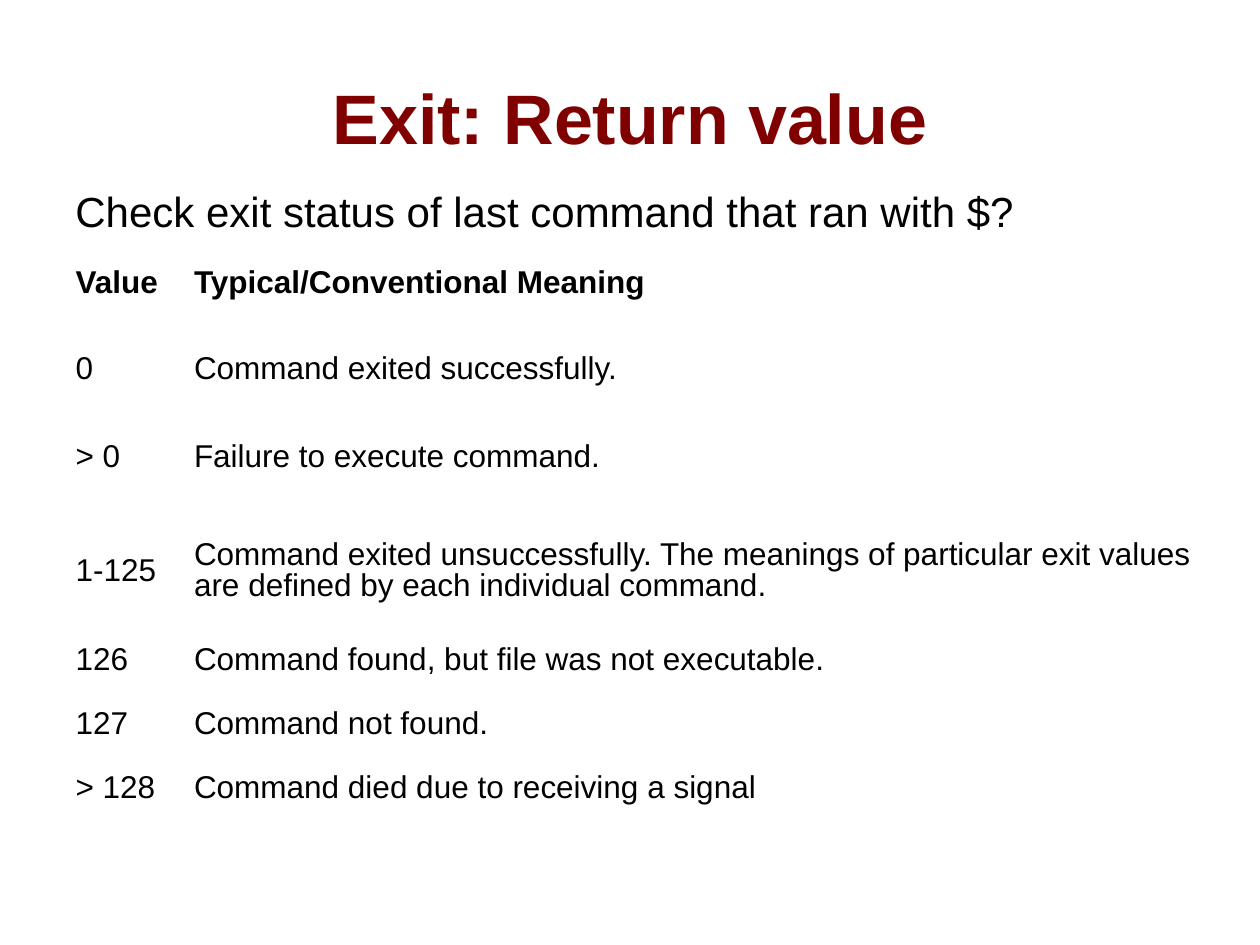
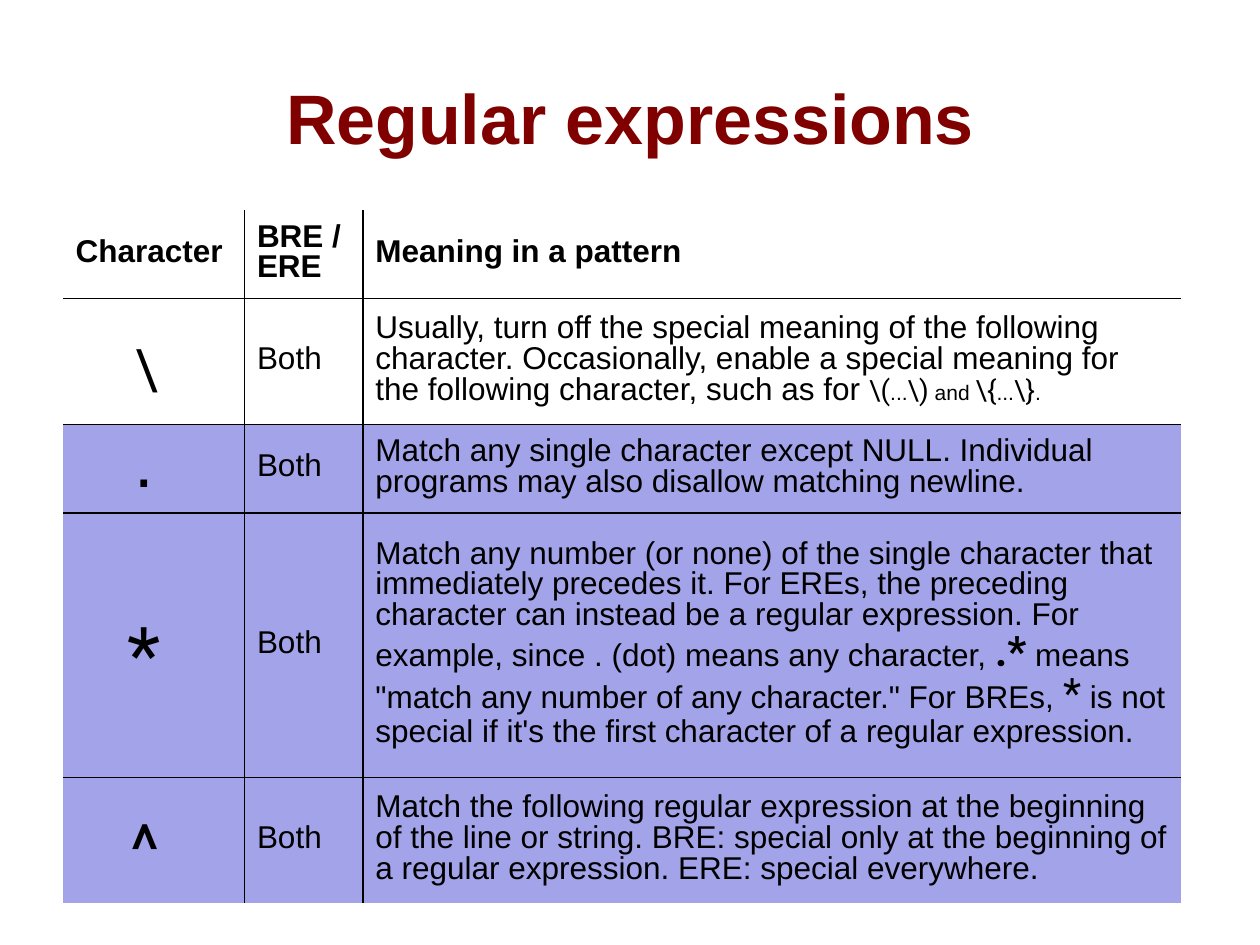
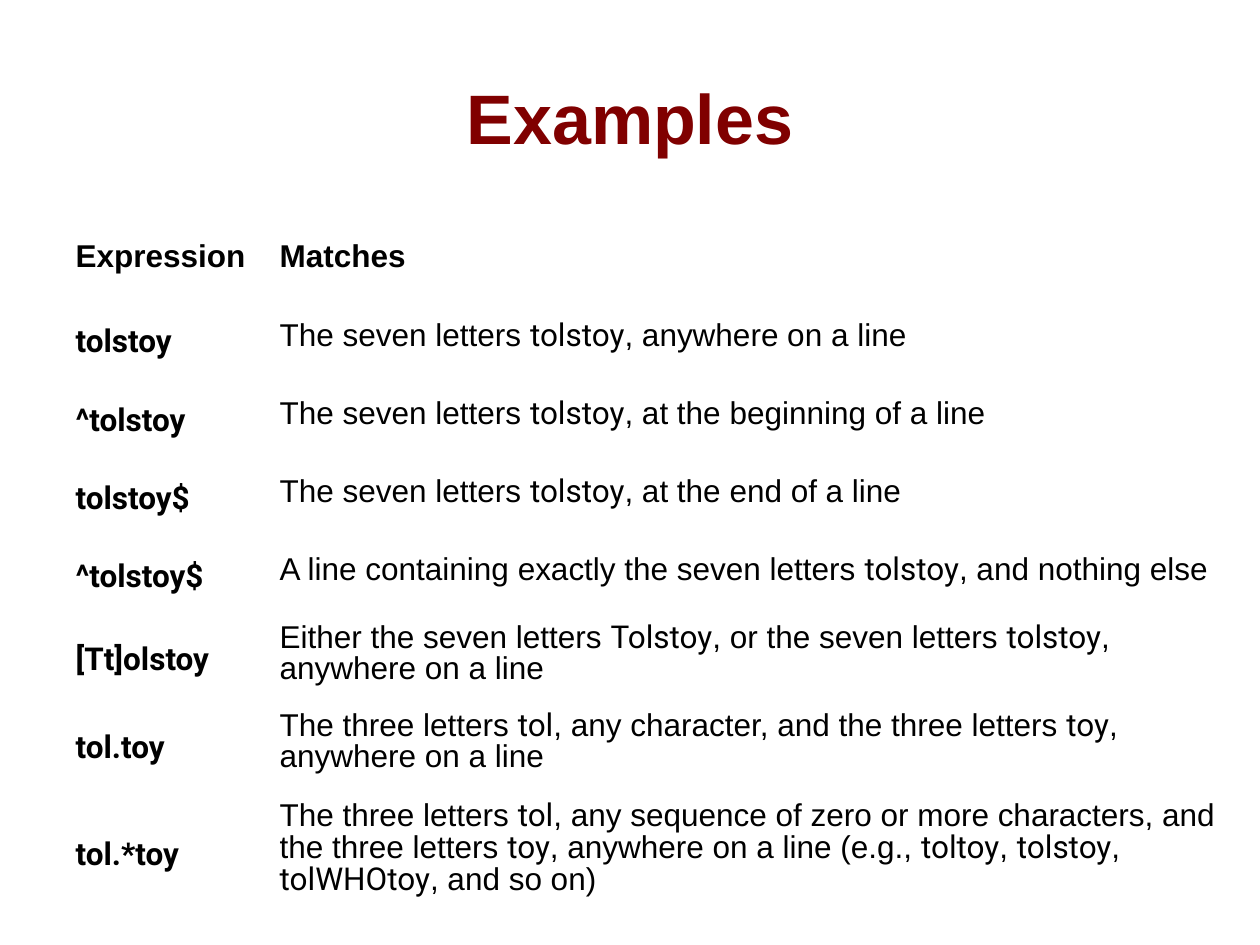
"""Build three shell-scripting slides: exit values, regular expressions and examples."""
from dataclasses import dataclass
from typing import Optional

import lxml.etree
import pptx
import pptx.dml.color
import pptx.enum.text
import pptx.oxml.ns
import pptx.presentation
import pptx.slide
import pptx.table
import pptx.text.text
import pptx.util
from pptx.util import Inches

BLACK, MAROON, LAVENDER = "000000", "800000", "A3A3E9"
BODY_FONT, CODE_FONT = "Arial", "Roboto"
BODY_SIZE = 18
LEFT = 0.5
PLAIN_TABLE_STYLE = "{2D5ABB26-0587-4C30-8999-92F81FD0307C}"
ALIGN = pptx.enum.text.PP_ALIGN
ANCHOR = pptx.enum.text.MSO_ANCHOR


@dataclass(frozen=True)
class Span:
    """A stretch of text in one style."""
    text: str
    size: float = BODY_SIZE
    font: str = BODY_FONT
    bold: bool = False


@dataclass(frozen=True)
class Entry:
    """The content of one table cell, as lines of spans."""
    lines: list[list[Span]]
    align: ALIGN = ALIGN.LEFT
    spacing: float = 0.87
    top: float = 0.03


@dataclass(frozen=True)
class Grid:
    """A table's place, track sizes and decoration."""
    top: float
    columns: list[float]
    rows: list[float]
    ruled: bool = False
    first_shaded_row: Optional[int] = None


def rgb(value: str) -> pptx.dml.color.RGBColor:
    """Turn a hex string into a colour."""
    return pptx.dml.color.RGBColor.from_string(value)


def marked(text: str, size: float = BODY_SIZE, code_size: float = BODY_SIZE,
           code_bold: bool = False) -> list[Span]:
    """Split text into body spans and backquoted code spans."""
    return [Span(part, code_size, CODE_FONT, code_bold) if index % 2 else Span(part, size)
            for index, part in enumerate(text.split("`")) if part]


def prose(*lines: str) -> Entry:
    """Make a cell of body text with code words in backquotes."""
    return Entry([marked(line) for line in lines])


def heading(*lines: str) -> Entry:
    """Make a bold header cell."""
    return Entry([[Span(line, bold=True)] for line in lines])


def expression(text: str) -> Entry:
    """Make a cell with a bold code expression."""
    return Entry([[Span(text, font=CODE_FONT, bold=True)]], spacing=1.25, top=0.05)


def symbol(text: str, size: float) -> Entry:
    """Make a cell with a large centred code character."""
    return Entry([[Span(text, size, CODE_FONT)]], ALIGN.CENTER, 1.25, 0.05)


def style(font: pptx.text.text.Font, span: Span, color: str = BLACK) -> None:
    """Apply a span's look to a font."""
    font.name, font.size, font.bold = span.font, pptx.util.Pt(span.size), span.bold
    font.color.rgb = rgb(color)


def write(paragraph: pptx.text.text._Paragraph, spans: list[Span], color: str = BLACK) -> None:
    """Fill a paragraph, styling it as a whole when it has one span."""
    for span in spans:
        run = paragraph.add_run()
        run.text = span.text
        style(paragraph.font if len(spans) == 1 else run.font, span, color)


def rule_cell(cell: pptx.table._Cell, sides: list[str]) -> None:
    """Draw thin black borders on the given sides of a cell."""
    properties = cell._tc.get_or_add_tcPr()
    for side in sides:
        border = lxml.etree.SubElement(properties, pptx.oxml.ns.qn(f"a:ln{side}"), w="12573")
        paint = lxml.etree.SubElement(border, pptx.oxml.ns.qn("a:solidFill"))
        lxml.etree.SubElement(paint, pptx.oxml.ns.qn("a:srgbClr"), val=BLACK)


def fill_cell(cell: pptx.table._Cell, entry: Entry, shade: Optional[str]) -> None:
    """Set a cell's fill, margins and text."""
    if shade:
        cell.fill.solid()
        cell.fill.fore_color.rgb = rgb(shade)
    else:
        cell.fill.background()
    cell.vertical_anchor = ANCHOR.MIDDLE
    cell.margin_left = cell.margin_right = Inches(0.1)
    cell.margin_top, cell.margin_bottom = Inches(entry.top), Inches(0.05)
    for index, spans in enumerate(entry.lines):
        frame = cell.text_frame
        paragraph = frame.add_paragraph() if index else frame.paragraphs[0]
        paragraph.alignment, paragraph.line_spacing = entry.align, entry.spacing
        write(paragraph, spans)


def add_grid(slide: pptx.slide.Slide, grid: Grid, content: list[list[Entry]]) -> None:
    """Draw a table with the given tracks and content."""
    table = slide.shapes.add_table(
        len(grid.rows), len(grid.columns), Inches(LEFT), Inches(grid.top),
        Inches(sum(grid.columns)), Inches(sum(grid.rows))).table
    table.first_row = table.horz_banding = False
    table._tbl.tblPr.find(pptx.oxml.ns.qn("a:tableStyleId")).text = PLAIN_TABLE_STYLE
    for column, width in zip(table.columns, grid.columns):
        column.width = Inches(width)
    for row, height in zip(table.rows, grid.rows):
        row.height = Inches(height)
    for r, entries in enumerate(content):
        shaded = grid.first_shaded_row is not None and r >= grid.first_shaded_row
        for c, entry in enumerate(entries):
            cell = table.cell(r, c)
            if grid.ruled:
                inner = {"L": c > 0, "R": c < len(grid.columns) - 1,
                         "T": r > 0, "B": r < len(grid.rows) - 1}
                rule_cell(cell, [side for side, drawn in inner.items() if drawn])
            fill_cell(cell, entry, LAVENDER if shaded else None)


def add_titled_slide(deck: pptx.presentation.Presentation, title: str) -> pptx.slide.Slide:
    """Add a slide with the shared maroon title."""
    slide = deck.slides.add_slide(deck.slide_layouts[5])
    banner = slide.shapes.title
    banner.left, banner.top = Inches(LEFT), Inches(0.3)
    banner.width, banner.height = Inches(9), Inches(1.25)
    banner.text_frame.vertical_anchor = ANCHOR.MIDDLE
    paragraph = banner.text_frame.paragraphs[0]
    paragraph.alignment = ALIGN.CENTER
    write(paragraph, [Span(title, 40, bold=True)], MAROON)
    return slide


def add_exit_values(deck: pptx.presentation.Presentation) -> None:
    """Add the slide on exit values."""
    slide = add_titled_slide(deck, "Exit: Return value")
    meanings = [
        ("0", "Command exited successfully."),
        ("> 0", "Failure to execute command."),
        ("1-125", "Command exited unsuccessfully. The meanings of particular exit values "
                  "are defined by each individual command."),
        ("126", "Command found, but file was not executable."),
        ("127", "Command not found."),
        ("> 128", "Command died due to receiving a signal"),
    ]
    add_grid(slide, Grid(1.84, [0.94, 8.23], [0.85, 0.51, 0.9, 0.9] + [0.51] * 3),
             [[heading("Value"), heading("Typical/Conventional Meaning")]]
             + [[prose(value), prose(meaning)] for value, meaning in meanings])
    hint = slide.shapes.add_textbox(Inches(LEFT), Inches(1.42), Inches(7.67), Inches(0.51))
    hint.text_frame.word_wrap = True
    write(hint.text_frame.paragraphs[0],
          [Span("Check exit status of last command that ran with $?", 24)])


def add_regular_expressions(deck: pptx.presentation.Presentation) -> None:
    """Add the slide on special pattern characters."""
    slide = add_titled_slide(deck, "Regular expressions")
    escape = Entry([
        marked("Usually, turn off the special meaning of the following"),
        marked("character. Occasionally, enable a special meaning for"),
        marked("the following character, such as for ")
        + marked(r"`\(`...`\)` and `\{`...`\}`.", 12, 16),
    ])
    repeat = Entry([
        marked("Match any number (or none) of the single character that"),
        marked("immediately precedes it. For EREs, the preceding"),
        marked("character can instead be a regular expression. For"),
        marked("example, since . (dot) means any character, `.*` means",
               code_size=24, code_bold=True),
        marked('"match any number of any character." For BREs, `*` is not', code_size=24),
        marked("special if it's the first character of a regular expression."),
    ])
    any_character = prose("Match any single character except NULL. Individual",
                          "programs may also disallow matching newline.")
    line_start = prose("Match the following regular expression at the beginning",
                       "of the line or string. BRE: special only at the beginning of",
                       "a regular expression. ERE: special everywhere.")
    characters = [
        (symbol("\\ ", 32), escape),
        (Entry([[Span(". ", 40)]], ALIGN.CENTER), any_character),
        (symbol("* ", 44), repeat),
        (symbol("^ ", 40), line_start),
    ]
    add_grid(slide, Grid(1.67, [1.44, 0.94, 6.49], [0.7, 1, 0.7, 2.1, 1], True, 2),
             [[heading("Character"), heading("BRE /", "ERE"), heading("Meaning in a pattern")]]
             + [[character, prose("Both"), meaning] for character, meaning in characters])


def add_examples(deck: pptx.presentation.Presentation) -> None:
    """Add the slide of example expressions."""
    slide = add_titled_slide(deck, "Examples")
    matches = [
        ("tolstoy", "The seven letters `tolstoy`, anywhere on a line"),
        ("^tolstoy", "The seven letters `tolstoy`, at the beginning of a line"),
        ("tolstoy$", "The seven letters `tolstoy`, at the end of a line"),
        ("^tolstoy$",
         "A line containing exactly the seven letters `tolstoy`, and nothing else"),
        ("[Tt]olstoy", "Either the seven letters `Tolstoy`, or the seven letters `tolstoy`, "
                       "anywhere on a line"),
        ("tol.toy", "The three letters `tol`, any character, and the three letters `toy`, "
                    "anywhere on a line"),
        ("tol.*toy", "The three letters `tol`, any sequence of zero or more characters, and "
                     "the three letters `toy`, anywhere on a line (e.g., `toltoy`, `tolstoy`, "
                     "`tolWHOtoy`, and so on)"),
    ]
    add_grid(slide, Grid(1.75, [1.62, 7.67], [0.62] * 5 + [0.7, 0.7, 1]),
             [[heading("Expression"), heading("Matches")]]
             + [[expression(pattern), prose(match)] for pattern, match in matches])


def main() -> None:
    """Build and save the deck."""
    deck = pptx.Presentation()
    deck.slide_width, deck.slide_height = Inches(10), Inches(7.5)
    add_exit_values(deck)
    add_regular_expressions(deck)
    add_examples(deck)
    deck.save("out.pptx")


main()
